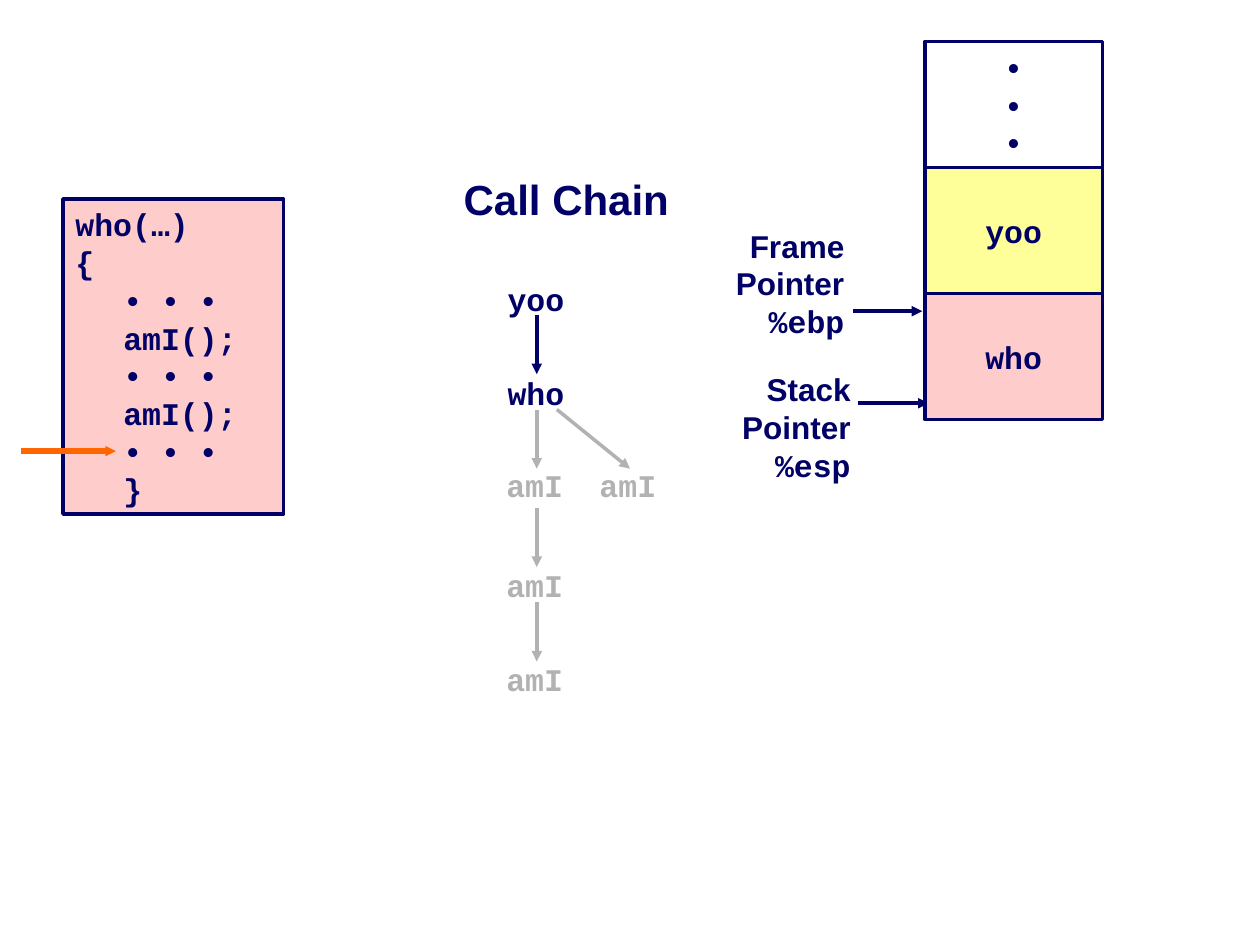
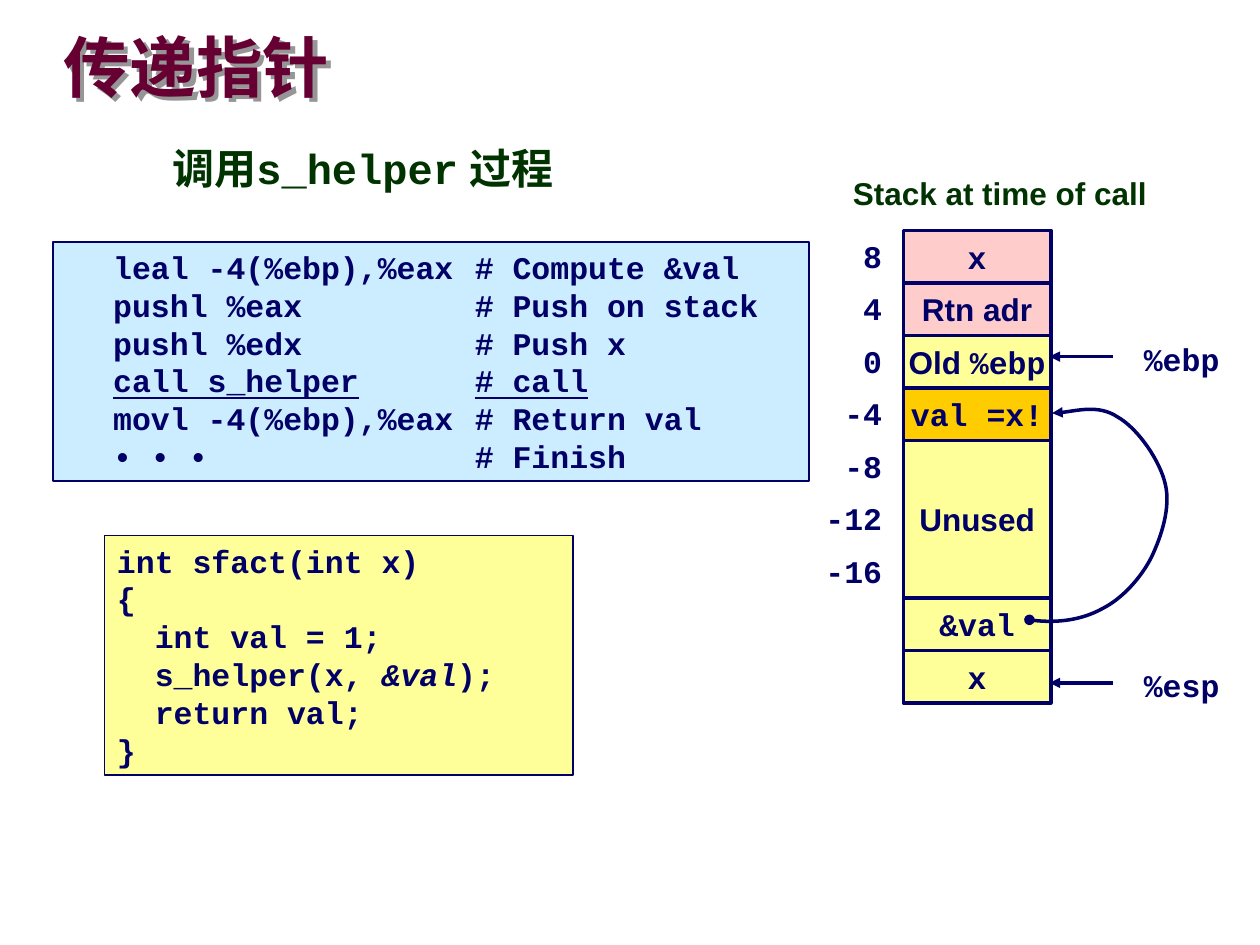
from pptx import Presentation
from pptx.dml.color import RGBColor
from pptx.enum.shapes import MSO_CONNECTOR, MSO_SHAPE
from pptx.enum.text import MSO_ANCHOR, PP_ALIGN
from pptx.oxml import parse_xml
from pptx.oxml.ns import nsdecls, qn
from pptx.oxml.xmlchemy import OxmlElement
from pptx.util import Inches, Pt

RECTANGLE = MSO_SHAPE.RECTANGLE
STRAIGHT = MSO_CONNECTOR.STRAIGHT
LEFT, CENTER, RIGHT = PP_ALIGN.LEFT, PP_ALIGN.CENTER, PP_ALIGN.RIGHT
TOP, MIDDLE = MSO_ANCHOR.TOP, MSO_ANCHOR.MIDDLE

COLORS = {
    "ink": "000066", "faded": "B2B2B2", "heading": "003300", "title": "660033",
    "pink": "FFCCCC", "yellow": "FFFF99", "gold": "FFCC00", "blue": "CCECFF",
    "marker": "FF6600", "shadow": "969696",
}
RGB = {name: RGBColor.from_string(value) for name, value in COLORS.items()}
SANS, MONO = "Arial", "Courier New"
BODY = {"name": MONO, "size": Pt(18), "bold": True}
SANS_BODY = {"name": SANS}
INSETS = {"margin_left": 0.1, "margin_right": 0.1, "margin_top": 0.05, "margin_bottom": 0.05}


def add_box(slide, place, lines, fill=None, border=0, color="ink", align=LEFT,
            anchor=TOP, wrap=False, **font):
    """Add a text box, or a rectangle if it has a border.

    Each line is a string or a list of (text, font overrides) runs.
    """
    place = [Inches(length) for length in place]
    if border:
        box = slide.shapes.add_shape(RECTANGLE, *place)
        box.shadow.inherit = False
        box.line.color.rgb = RGB["ink"]
        box.line.width = Pt(border)
    else:
        box = slide.shapes.add_textbox(*place)
    if fill:
        box.fill.solid()
        box.fill.fore_color.rgb = RGB[fill]
    else:
        box.fill.background()
    frame = box.text_frame
    frame.word_wrap = wrap
    frame.vertical_anchor = anchor
    for side, inset in INSETS.items():
        setattr(frame, side, Inches(inset))
    for number, line in enumerate(lines):
        paragraph = frame.add_paragraph() if number else frame.paragraphs[0]
        paragraph.alignment = align
        for text, overrides in ([(line, {})] if isinstance(line, str) else line):
            run = paragraph.add_run()
            run.text = text
            run.font.color.rgb = RGB[color]
            for key, value in {**BODY, **font, **overrides}.items():
                setattr(run.font, key, value)
    return box


def add_arrow(slide, start, end, color="ink", width=2, tip_size="med"):
    arrow = slide.shapes.add_connector(
        STRAIGHT, *[Inches(length) for length in (*start, *end)])
    arrow.line.color.rgb = RGB[color]
    arrow.line.width = Pt(width)
    tip = OxmlElement("a:tailEnd")
    for key, value in {"type": "triangle", "w": tip_size, "len": tip_size}.items():
        tip.set(key, value)
    arrow.line._get_or_add_ln().append(tip)
    arrow._element.spPr.append(OxmlElement("a:effectLst"))


prs = Presentation()
prs.slide_width, prs.slide_height = Inches(10), Inches(7.5)

# Slide 1: call chain
chain_slide = prs.slides.add_slide(prs.slide_layouts[6])

pointers = [
    (5.79, 2.89, "Stack", "%esp", (6.81, 3.2), (7.37, 3.2)),
    (5.74, 1.75, "Frame", "%ebp", (6.77, 2.47), (7.32, 2.47)),
]
for left, top, role, register, start, end in pointers:
    add_arrow(chain_slide, start, end)
    add_box(chain_slide, (left, top, 1.06, 1),
            [role, "Pointer", [(register, {"name": MONO})]], align=RIGHT, **SANS_BODY)

stack_frames = [(["•"] * 3, None), (["yoo"], "yellow"), (["who"], "pink")]
for row, (lines, fill) in enumerate(stack_frames):
    add_box(chain_slide, (7.34, 0.33 + row, 1.41, 1), lines, fill, border=2,
            align=CENTER, anchor=MIDDLE, wrap=True)

add_box(chain_slide, (3.58, 1.33, 1.83, 0.5), ["Call Chain"], align=CENTER,
        name=SANS, size=Pt(24))

calls = [
    ("yoo", 3.93, 2.17, "ink"), ("who", 3.93, 2.92, "ink"),
    ("amI", 3.92, 3.65, "faded"), ("amI", 3.92, 4.44, "faded"),
    ("amI", 3.92, 5.19, "faded"), ("amI", 4.66, 3.65, "faded"),
]
for function, left, top, color in calls:
    add_box(chain_slide, (left, top, 0.66, 0.4), [function], color=color)

call_arrows = [
    (4.26, 2.5, 4.26, "ink"), (4.26, 3.25, 4.26, "faded"), (4.26, 4.03, 4.26, "faded"),
    (4.26, 4.78, 4.26, "faded"), (4.42, 3.25, 5, "faded"),
]
for start_x, top, end_x, color in call_arrows:
    add_arrow(chain_slide, (start_x, top), (end_x, top + 0.47), color)

who_code = add_box(
    chain_slide, (0.5, 1.58, 1.75, 2.5),
    ["who(…)", "{", "• • •", "amI();", "• • •", "amI();", "• • •", "}"],
    "pink", border=2, wrap=True)
for paragraph in who_code.text_frame.paragraphs[2:]:
    paragraph._p.get_or_add_pPr().set("marL", str(Inches(0.38)))
add_arrow(chain_slide, (0.17, 3.58), (0.92, 3.58), "marker", 3, "sm")

# Slide 2: passing a pointer
pointer_slide = prs.slides.add_slide(prs.slide_layouts[5])

title = pointer_slide.shapes.title
title.left, title.top, title.width, title.height = [
    Inches(length) for length in (0.5, 0.25, 6.46, 0.63)]
title_frame = title.text_frame
title_frame.text = "传递指针"
title_frame.vertical_anchor = MIDDLE
for side in INSETS:
    setattr(title_frame, side, 0)
title_line = title_frame.paragraphs[0]
title_line.alignment = LEFT
title_line.line_spacing = 0.87
title_run = title_line.runs[0]
title_run.font.color.rgb = RGB["title"]
for key, value in {"name": SANS, "size": Pt(38), "bold": True}.items():
    setattr(title_run.font, key, value)
title.fill.background()
title._element.spPr.append(parse_xml(
    f'<a:effectLst {nsdecls("a")}><a:outerShdw dist="{Pt(4)}" dir="2700000">'
    f'<a:srgbClr val="{COLORS["shadow"]}"/></a:outerShdw></a:effectLst>'))

add_box(pointer_slide, (0.83, 4.25, 3.72, 1.9), [
    "int sfact(int x)",
    "{",
    "  int val = 1;",
    [("  s_helper(x, ", {}), ("&val", {"italic": True}), (");", {})],
    "  return val;",
    "}",
], "yellow", border=1, wrap=True)
add_box(pointer_slide, (1.27, 1.08, 3.9, 0.5),
        [[("调用s_helper", {}), (" 过程", {"name": SANS})]],
        color="heading", size=Pt(24))
add_box(pointer_slide, (6.67, 1.33, 2.9, 0.4), ["Stack at time of call"],
        color="heading", **SANS_BODY)

assembly = add_box(pointer_slide, (0.42, 1.92, 6, 1.9), [
    "\tleal -4(%ebp),%eax\t# Compute &val",
    "\tpushl %eax\t# Push on stack",
    "\tpushl %edx\t# Push x",
    [("\tcall s_helper\t# call", {"underline": True})],
    "\tmovl -4(%ebp),%eax\t# Return val",
    "\t• • •\t# Finish",
], "blue", border=1, wrap=True)
for paragraph in assembly.text_frame.paragraphs:
    tab_stops = OxmlElement("a:tabLst")
    for position in (0.38, 3.25):
        stop = OxmlElement("a:tab")
        stop.set("pos", str(Inches(position)))
        stop.set("algn", "l")
        tab_stops.append(stop)
    paragraph._p.get_or_add_pPr().append(tab_stops)

stack_top, slot_height = 1.83, 1.25 / 3
stack_slots = [
    ("x", 1, "pink", {}),
    ("Rtn adr", 1, "pink", SANS_BODY),
    ([("Old ", SANS_BODY), ("%ebp", {})], 1, "yellow", {}),
    ("val =x!", 1, "gold", {}),
    ("Unused", 3, "yellow", SANS_BODY),
    ("&val", 1, "yellow", {}),
    ("x", 1, "yellow", {}),
]
slot_top = stack_top
for content, slots, fill, font in stack_slots:
    add_box(pointer_slide, (7.17, slot_top, 1.17, slots * slot_height), [content],
            fill, border=2, align=CENTER, anchor=MIDDLE, **font)
    slot_top += slots * slot_height

for row, offset in enumerate(range(8, -17, -4)):
    add_box(pointer_slide, (6.3, stack_top + row * slot_height, 0.8, 0.4),
            [str(offset)], align=RIGHT)

for register, arrow_y in (("%ebp", 2.83), ("%esp", 5.42)):
    add_arrow(pointer_slide, (8.83, arrow_y), (8.33, arrow_y))
    add_box(pointer_slide, (8.98, arrow_y - 0.18, 0.8, 0.4), [register])

# Curve from &val back to val: each three points make one Bézier segment
curve_points = [
    (8.37, 4.95), (8.59, 4.92), (8.75, 4.83), (8.91, 4.75), (9.06, 4.58), (9.14, 4.42),
    (9.22, 4.25), (9.29, 4.03), (9.25, 3.85), (9.21, 3.66), (9.03, 3.4), (8.87, 3.31),
    (8.72, 3.21), (8.46, 3.28), (8.35, 3.28),
]
outline = pointer_slide.shapes.build_freeform(Inches(8.17), Inches(4.92))
outline.add_line_segments([(Inches(x), Inches(y)) for x, y in curve_points], close=False)
reference_curve = outline.convert_to_shape()
segments = list(reference_curve._element.iter(qn("a:lnTo")))
for first in range(0, len(segments), 3):
    bezier = OxmlElement("a:cubicBezTo")
    segments[first].addprevious(bezier)
    for segment in segments[first:first + 3]:
        bezier.append(segment[0])
        segment.getparent().remove(segment)
reference_curve.shadow.inherit = False
reference_curve.fill.background()
reference_curve.line.color.rgb = RGB["ink"]
reference_curve.line.width = Pt(2)
for end, kind in (("a:headEnd", "oval"), ("a:tailEnd", "triangle")):
    tip = OxmlElement(end)
    tip.set("type", kind)
    reference_curve.line._get_or_add_ln().append(tip)

prs.save("out.pptx")
